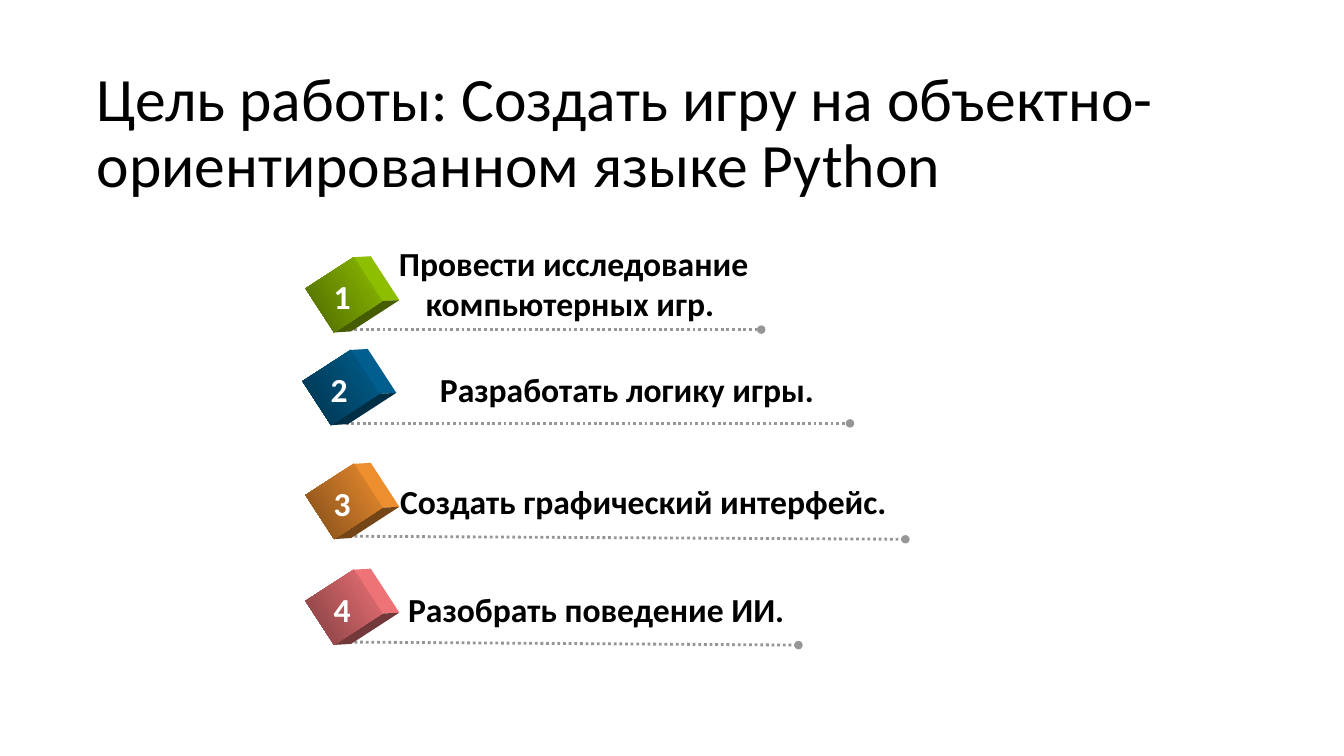
from math import cos, radians, sin

from lxml.etree import SubElement
from pptx import Presentation
from pptx.dml.color import RGBColor
from pptx.enum.dml import MSO_LINE
from pptx.enum.shapes import MSO_CONNECTOR, MSO_SHAPE
from pptx.enum.text import MSO_ANCHOR, MSO_AUTO_SIZE, PP_ALIGN
from pptx.oxml.ns import qn
from pptx.util import Inches, Pt

FONT = "Calibri"
COLORS = {
    "text": "000000",
    "number": "FFFFFF",
    "rule": "969696",
    "green": "99CC00",
    "blue": "006699",
    "orange": "FF9933",
    "pink": "FF7C80",
}
CUBE_WIDTH, CUBE_HEIGHT, CUBE_TURN = 0.52, 0.57, 57
DEPTH_X, DEPTH_Y = 0.17, -0.01
GOALS = [
    ("green", (3.15, 2.64), (7.55, 3.27), (3.84, 2.36, 3.7, 0.91), False,
     PP_ALIGN.CENTER, ["Провести исследование", "компьютерных игр. "]),
    ("blue", (3.12, 3.56), (8.43, 4.2), (4.01, 3.61, 4.42, 0.51), True,
     PP_ALIGN.CENTER, ["Разработать логику игры."]),
    ("orange", (3.15, 4.69), (8.98, 5.35), (3.84, 4.72, 5.08, 0.51), False,
     PP_ALIGN.CENTER, ["Создать графический интерфейс."]),
    ("pink", (3.15, 5.74), (7.92, 6.4), (3.95, 5.79, 3.97, 0.51), False,
     PP_ALIGN.LEFT, ["Разобрать поведение ИИ."]),
]


def shade(color, factor):
    """Return a named colour darkened by a factor."""
    return RGBColor(*(round(part * factor) for part in RGBColor.from_string(COLORS[color])))


def style_run(run, size, color, bold):
    """Set the font of a run."""
    run.font.name = FONT
    run.font.size = Pt(size)
    run.font.bold = bold
    run.font.color.rgb = RGBColor.from_string(COLORS[color])


def add_title(slide, box):
    """Place the title in its box."""
    title = slide.shapes.title
    title.left, title.top, title.width, title.height = map(Inches, box)
    frame = title.text_frame
    frame.vertical_anchor = MSO_ANCHOR.MIDDLE
    frame.word_wrap = True
    paragraph = frame.paragraphs[0]
    paragraph.alignment = PP_ALIGN.LEFT
    paragraph.line_spacing = 0.9
    run = paragraph.add_run()
    run.text = "Цель работы: Создать игру на объектно-ориентированном языке Python"
    style_run(run, 44, "text", False)


def add_label(group, box, lines, color, align, wrap=False):
    """Add bold text, one paragraph per line."""
    frame = group.shapes.add_textbox(*map(Inches, box)).text_frame
    frame.word_wrap = wrap
    frame.auto_size = MSO_AUTO_SIZE.SHAPE_TO_FIT_TEXT
    for index, line in enumerate(lines):
        paragraph = frame.add_paragraph() if index else frame.paragraphs[0]
        paragraph.alignment = align
        run = paragraph.add_run()
        run.text = line
        style_run(run, 24, color, True)


def add_rule(group, start, end):
    """Add a dotted rule that ends in a dot."""
    rule = group.shapes.add_connector(MSO_CONNECTOR.STRAIGHT, *map(Inches, start + end))
    rule.line.color.rgb = RGBColor.from_string(COLORS["rule"])
    rule.line.width = Pt(2)
    rule.line.dash_style = MSO_LINE.ROUND_DOT
    SubElement(rule.line._get_or_add_ln(), qn("a:tailEnd"), type="oval")
    SubElement(rule._element.spPr, qn("a:effectLst"))


def add_cube(group, left, top, color):
    """Draw a turned cube: two side faces and a shaded front."""
    center_x, center_y = left + CUBE_WIDTH / 2, top + CUBE_HEIGHT / 2
    turn = radians(CUBE_TURN)

    def corner(side_x, side_y):
        x, y = side_x * CUBE_WIDTH / 2, side_y * CUBE_HEIGHT / 2
        return (center_x + x * cos(turn) - y * sin(turn),
                center_y + x * sin(turn) + y * cos(turn))

    upper, right, lower = corner(-1, -1), corner(1, -1), corner(1, 1)
    for start, end, factor in ((upper, right, 0.93), (lower, right, 0.45)):
        back = [(x + DEPTH_X, y + DEPTH_Y) for x, y in (end, start)]
        outline = [(Inches(x), Inches(y)) for x, y in [start, end] + back]
        builder = group.shapes.build_freeform(*outline[0])
        builder.add_line_segments(outline[1:])
        face = builder.convert_to_shape()
        face.shadow.inherit = False
        face.fill.solid()
        face.fill.fore_color.rgb = shade(color, factor)
        face.line.fill.background()

    front = group.shapes.add_shape(
        MSO_SHAPE.RECTANGLE, *map(Inches, (left, top, CUBE_WIDTH, CUBE_HEIGHT)))
    front.rotation = CUBE_TURN
    front.shadow.inherit = False
    front.line.fill.background()
    front.fill.gradient()
    front.fill.gradient_angle = 270
    for stop, factor in zip(front.fill.gradient_stops, (0.93, 0.5)):
        stop.color.rgb = shade(color, factor)


def add_goal(slide, number, goal):
    """Build one numbered goal as a group around its cube."""
    color, (left, top), rule_end, text_box, wrap, align, lines = goal
    group = slide.shapes.add_group_shape()
    add_rule(group, (left + 0.31, top + (rule_end[1] - top if number < 3 else 0.63)), rule_end)
    add_cube(group, left, top, color)
    add_label(group, text_box, lines, "text", align, wrap)
    add_label(group, (left + 0.06, top + 0.05, 0.39, 0.5), [str(number)],
              "number", PP_ALIGN.LEFT)


def main():
    """Build and save the presentation."""
    presentation = Presentation()
    presentation.slide_width = Inches(13.33)
    presentation.slide_height = Inches(7.5)
    slide = presentation.slides.add_slide(presentation.slide_layouts[5])
    add_title(slide, (0.86, 0.61, 11.5, 1.45))
    for number, goal in enumerate(GOALS, 1):
        add_goal(slide, number, goal)
    presentation.save("out.pptx")


if __name__ == "__main__":
    main()
